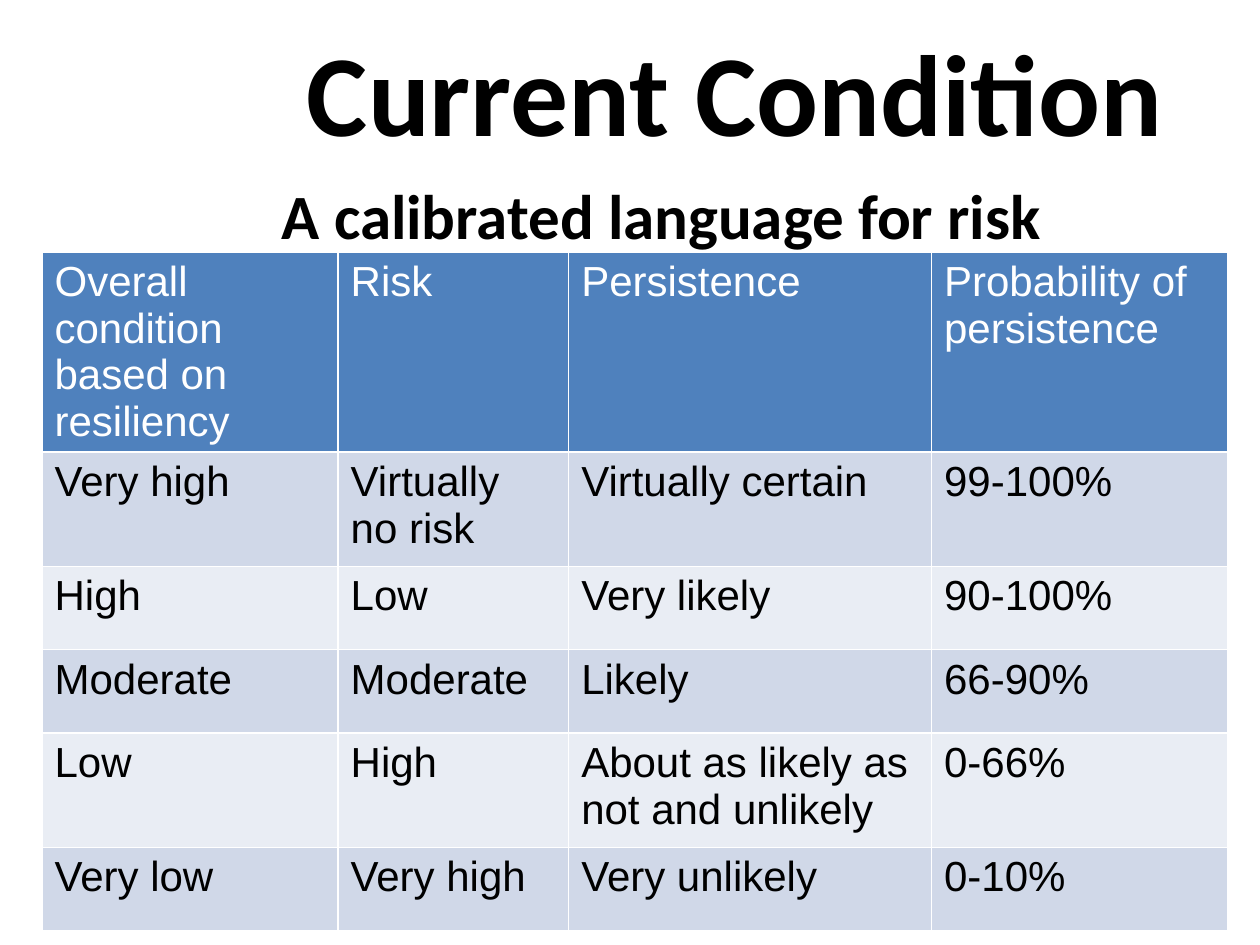
from pptx import Presentation
from pptx.dml.color import RGBColor
from pptx.enum.text import MSO_ANCHOR as Anchor, PP_ALIGN as Align
from pptx.util import Inches, Pt

BLACK = RGBColor(0x00, 0x00, 0x00)
WHITE = RGBColor(0xFF, 0xFF, 0xFF)
HEADER_BLUE = RGBColor(0x4F, 0x81, 0xBD)
BAND_DARK = RGBColor(0xD0, 0xD8, 0xE8)
BAND_LIGHT = RGBColor(0xE9, 0xED, 0xF4)

ROWS = [
    ["Overall condition based on resiliency", "Risk", "Persistence", "Probability of persistence"],
    ["Very high", "Virtually no risk", "Virtually certain", "99-100%"],
    ["High", "Low", "Very likely", "90-100%"],
    ["Moderate", "Moderate", "Likely", "66-90%"],
    ["Low", "High", "About as likely as not and unlikely", "0-66%"],
    ["Very low", "Very high", "Very unlikely", "0-10%"],
]
COLUMN_WIDTHS = [2.35, 1.83, 2.88, 2.35]
HEADER_HEIGHT, ONE_LINE, TWO_LINES = 1.58, 0.66, 0.91
ROW_HEIGHTS = [HEADER_HEIGHT, TWO_LINES, ONE_LINE, ONE_LINE, TWO_LINES, ONE_LINE]


def write_text(frame, text, size, font="Calibri", color=BLACK, bold=True, align=Align.CENTER):
    frame.word_wrap = True
    paragraph = frame.paragraphs[0]
    paragraph.alignment = align
    run = paragraph.add_run()
    run.text = text
    run.font.size = Pt(size)
    run.font.name = font
    run.font.bold = bold
    run.font.color.rgb = color


presentation = Presentation()
presentation.slide_width = Inches(10)
presentation.slide_height = Inches(7.5)
width, height = presentation.slide_width, presentation.slide_height
slide = presentation.slides.add_slide(presentation.slide_layouts[5])

# Title placeholder, holding the line above the table
title = slide.shapes.title
title.left, title.top = int(width * 0.075), int(height * 0.144)
title.width, title.height = int(width * 0.9), int(height / 6)
frame = title.text_frame
frame.vertical_anchor = Anchor.MIDDLE
frame.margin_left = frame.margin_right = frame.margin_top = frame.margin_bottom = Inches(0.1)
write_text(frame, "A calibrated language for risk", 36)

# Risk table
table = slide.shapes.add_table(
    len(ROWS), len(COLUMN_WIDTHS), int(width / 30), int(height * 4 / 15),
    Inches(sum(COLUMN_WIDTHS)), Inches(sum(ROW_HEIGHTS))).table
for column, column_width in zip(table.columns, COLUMN_WIDTHS):
    column.width = Inches(column_width)
for row_index, (texts, row_height) in enumerate(zip(ROWS, ROW_HEIGHTS)):
    table.rows[row_index].height = Inches(row_height)
    is_header = row_index == 0
    band = HEADER_BLUE if is_header else BAND_DARK if row_index % 2 else BAND_LIGHT
    for column_index, text in enumerate(texts):
        cell = table.cell(row_index, column_index)
        cell.fill.solid()
        cell.fill.fore_color.rgb = band
        write_text(cell.text_frame, text, 24, font="Arial", bold=False,
                   color=WHITE if is_header else BLACK, align=Align.LEFT)

# Large heading
heading = slide.shapes.add_textbox(
    int(width * 0.217), int(height * 0.016), int(width * 0.733), int(height * 0.161))
write_text(heading.text_frame, "Current Condition", 66)

presentation.save("out.pptx")
